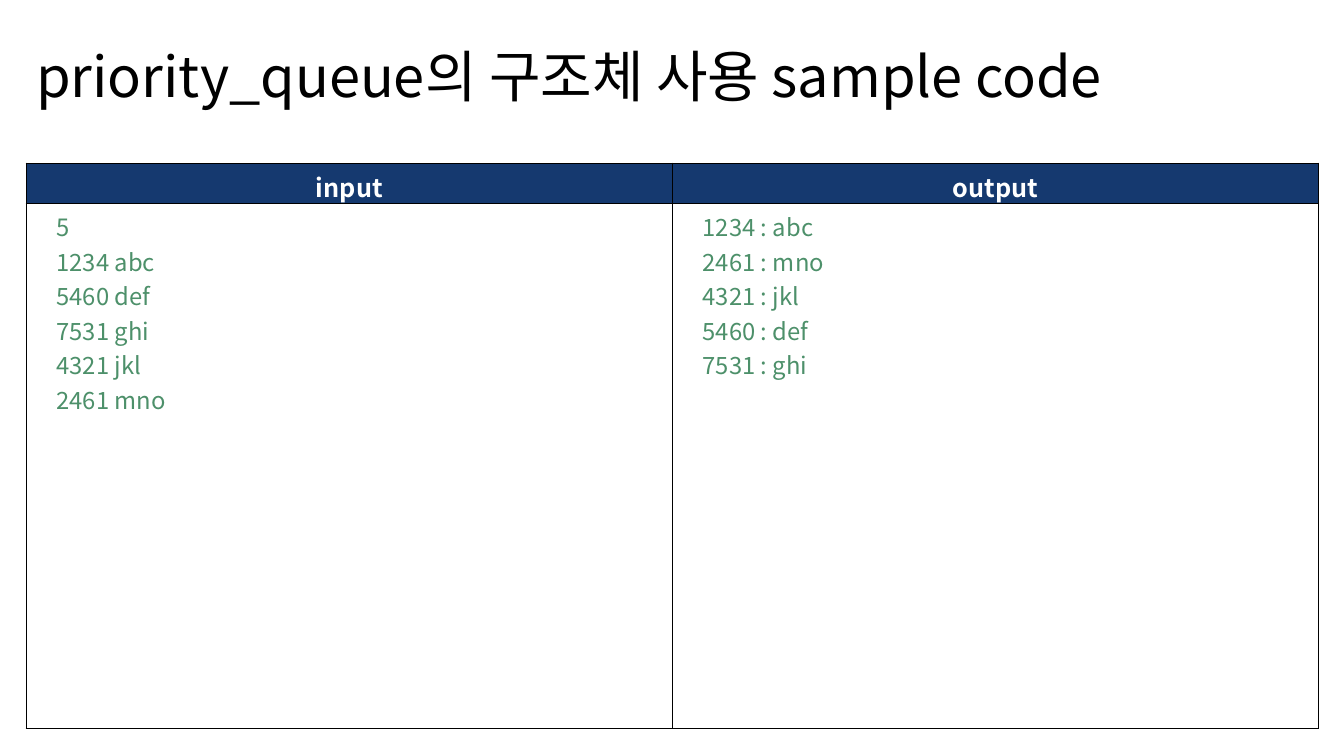
from lxml import etree
from pptx import Presentation
from pptx.dml.color import RGBColor
from pptx.enum.text import MSO_ANCHOR as Anchor, MSO_AUTO_SIZE as AutoSize, PP_ALIGN as Align
from pptx.oxml.ns import qn
from pptx.util import Inches, Pt

FONT = "Noto Sans CJK KR"
BLACK = RGBColor(0x00, 0x00, 0x00)
WHITE = RGBColor(0xFF, 0xFF, 0xFF)
NAVY = RGBColor(0x15, 0x39, 0x6F)
GREEN = RGBColor(0x4D, 0x90, 0x6A)

LEFT, WIDTH = 0.26, 12.82
HEADER_HEIGHT, BODY_HEIGHT = 0.4, 5.21
SAMPLES = {
    "input": ["5", "1234 abc", "5460 def", "7531 ghi", "4321 jkl", "2461 mno"],
    "output": ["1234 : abc", "2461 : mno", "4321 : jkl", "5460 : def", "7531 : ghi"],
}


def style_runs(paragraph, size, color, bold=False):
    for run in paragraph.runs:
        run.font.name = FONT
        run.font.size = Pt(size)
        run.font.bold = bold
        run.font.color.rgb = color
        east_asian = etree.SubElement(run.font._element, qn("a:ea"))
        east_asian.set("typeface", FONT)


def finish_cell(cell, color):
    cell.margin_bottom = 0
    cell.fill.solid()
    cell.fill.fore_color.rgb = color
    properties = cell._tc.get_or_add_tcPr()
    for position, side in enumerate(("a:lnL", "a:lnR", "a:lnT", "a:lnB")):
        border = etree.Element(qn(side), w=str(Pt(1)))
        line_fill = etree.SubElement(border, qn("a:solidFill"))
        etree.SubElement(line_fill, qn("a:srgbClr"), val=str(BLACK))
        properties.insert(position, border)


prs = Presentation()
prs.slide_width, prs.slide_height = Inches(13.33), Inches(7.5)
slide = prs.slides.add_slide(prs.slide_layouts[6])

# Title
title = slide.shapes.add_textbox(
    Inches(LEFT), Inches(0.44), Inches(WIDTH), Inches(0.76)
).text_frame
title.word_wrap = True
title.auto_size = AutoSize.SHAPE_TO_FIT_TEXT
title.text = "priority_queue의 구조체 사용 sample code"
title.paragraphs[0].line_spacing = 0.9
style_runs(title.paragraphs[0], 40, BLACK)

# Sample table: one column each for input and output
samples = slide.shapes.add_table(
    2, len(SAMPLES), Inches(LEFT), Inches(1.62),
    Inches(WIDTH), Inches(HEADER_HEIGHT + BODY_HEIGHT),
).table
samples.rows[0].height = Inches(HEADER_HEIGHT)
samples.rows[1].height = Inches(BODY_HEIGHT)

for column, (heading, lines) in enumerate(SAMPLES.items()):
    header = samples.cell(0, column)
    header.text = heading
    header.vertical_anchor = Anchor.MIDDLE
    header.text_frame.paragraphs[0].alignment = Align.CENTER
    style_runs(header.text_frame.paragraphs[0], 18, WHITE, bold=True)
    finish_cell(header, NAVY)

    body = samples.cell(1, column)
    body.text = "\n".join(lines)
    for paragraph in body.text_frame.paragraphs:
        indent = paragraph._p.get_or_add_pPr()
        indent.set("marL", str(Inches(0.2)))
        indent.set("indent", "0")
        style_runs(paragraph, 17, GREEN)
    finish_cell(body, WHITE)

prs.save("out.pptx")
